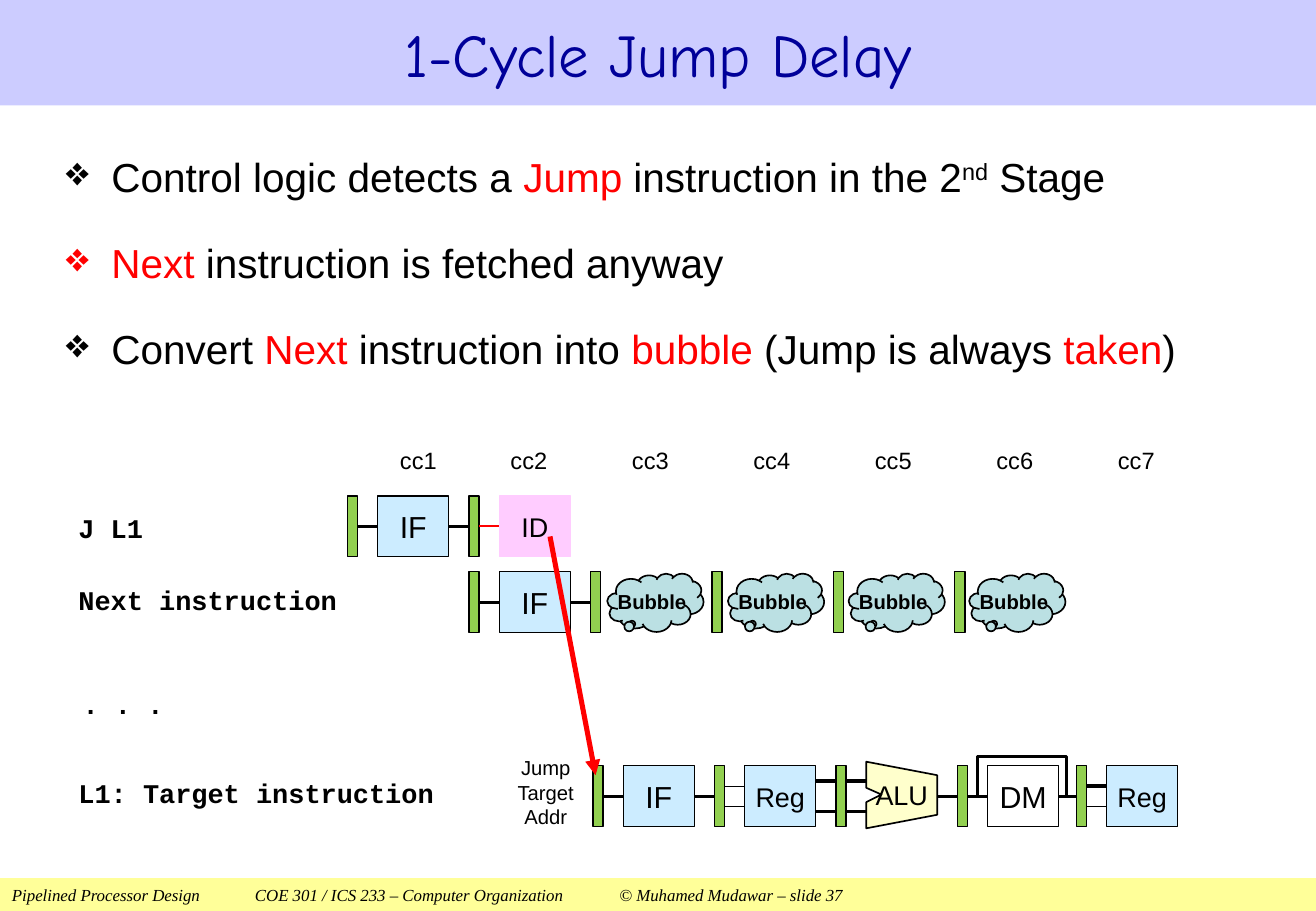
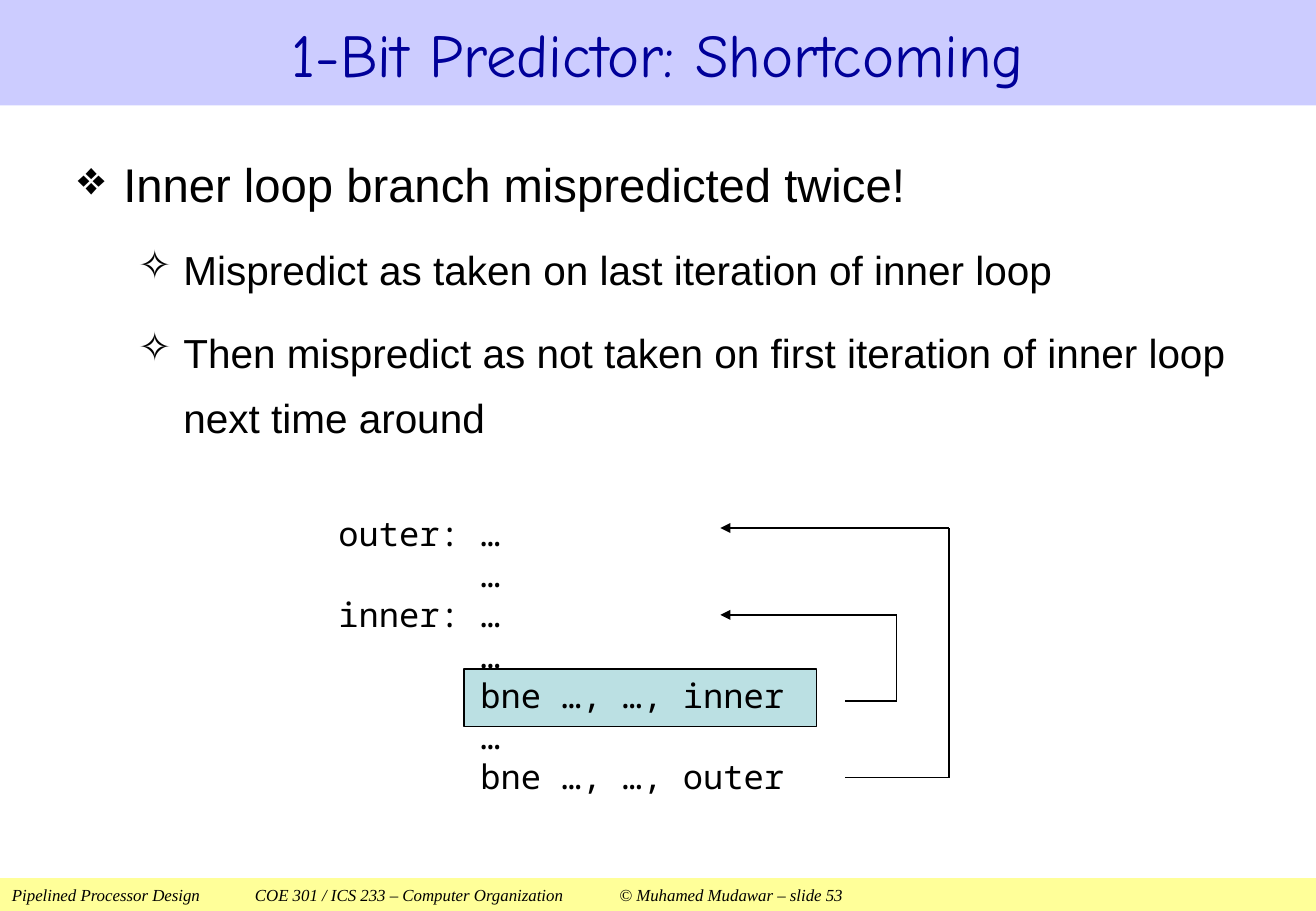
from lxml.etree import SubElement
from pptx import Presentation
from pptx.dml.color import RGBColor
from pptx.enum.shapes import MSO_CONNECTOR as Connector, MSO_SHAPE as Shape
from pptx.enum.text import MSO_ANCHOR as Anchor, PP_ALIGN as Align
from pptx.oxml.ns import qn
from pptx.util import Pt


class Theme:
    black, red, navy = "000000", "FF0000", "000099"
    title_band, footer_band = "CCCCFF", "FFFF99"
    stage, register, decode = "CCECFF", "92D050", "FFCCFF"
    bubble, alu = "BBE0E3", "FFFFCC"
    body_font, title_font, footer_font = "Arial", "Comic Neue", "Times New Roman"
    label_font, code_font = "Courier New", "Noto Sans Mono"
    title, head, body, code, stage_name = 36, 28, 24, 20, 18
    label, cycle, small, footer = 16, 14, 12, 10
    thin, outline, wire, bold_wire, arrow = 0.75, 1, 2, 2.25, 3


def add_box(slide, kind, left, top, width, height, text="", fill=None, line=None,
            line_width=Theme.thin, font=Theme.body_font, size=Theme.stage_name,
            color=Theme.black, bold=False, italic=False, align=Align.CENTER,
            anchor=Anchor.MIDDLE, insets=(0, 0), wrap=False):
    """Add a preset shape, or a text box when kind is None."""
    frame = [Pt(value) for value in (left, top, width, height)]
    if kind is None:
        shape = slide.shapes.add_textbox(*frame)
    else:
        shape = slide.shapes.add_shape(kind, *frame)
        shape.shadow.inherit = False
        if fill:
            shape.fill.solid()
            shape.fill.fore_color.rgb = RGBColor.from_string(fill)
        else:
            shape.fill.background()
        if line:
            shape.line.color.rgb = RGBColor.from_string(line)
            shape.line.width = Pt(line_width)
        else:
            shape.line.fill.background()
    text_frame = shape.text_frame
    text_frame.word_wrap = wrap
    text_frame.vertical_anchor = anchor
    text_frame.margin_left = text_frame.margin_right = Pt(insets[0])
    text_frame.margin_top = text_frame.margin_bottom = Pt(insets[1])
    text_frame.text = text
    for paragraph in text_frame.paragraphs:
        paragraph.alignment = align
        for run in paragraph.runs:
            run.font.name, run.font.size = font, Pt(size)
            run.font.bold, run.font.italic = bold, italic
            run.font.color.rgb = RGBColor.from_string(color)
    return shape


def add_line(slide, x1, y1, x2, y2, width=Theme.wire, color=Theme.black,
             arrow=False, begin=None, end=None):
    """Add a straight line; begin and end are shapes joined right side to left side."""
    line = slide.shapes.add_connector(Connector.STRAIGHT, Pt(x1), Pt(y1), Pt(x2), Pt(y2))
    line.line.color.rgb = RGBColor.from_string(color)
    line.line.width = Pt(width)
    properties = line._element.spPr
    if arrow:
        SubElement(properties.find(qn("a:ln")), qn("a:tailEnd"), type="triangle")
    SubElement(properties, qn("a:effectLst"))
    if begin is not None:
        line.begin_connect(begin, 3)
    if end is not None:
        line.end_connect(end, 1)


presentation = Presentation()
presentation.slide_width, presentation.slide_height = Pt(780), Pt(540)

# Title, body and footer of each slide
# Body paragraphs: level, size, space before, runs as (text, color, superscript)
black, red = Theme.black, Theme.red
pages = [
    ("1-Cycle Jump Delay", 37, 0, [
        (0, Theme.body, 12, [("Control logic detects a ", black, False), ("Jump", red, False),
                             (" instruction in the 2", black, False), ("nd", black, True),
                             (" Stage", black, False)]),
        (0, Theme.body, 12, [("Next ", red, False),
                             ("instruction is fetched anyway", black, False)]),
        (0, Theme.body, 12, [("Convert ", black, False), ("Next", red, False),
                             (" instruction into ", black, False), ("bubble", red, False),
                             (" (Jump is always ", black, False), ("taken", red, False),
                             (")", black, False)]),
    ]),
    ("1-Bit Predictor: Shortcoming", 53, 7.2, [
        (0, Theme.head, 10, [("Inner loop branch mispredicted twice!", black, False)]),
        (1, Theme.body, 10, [("Mispredict as taken on last iteration of inner loop",
                              black, False)]),
        (1, Theme.body, 10, [("Then mispredict as not taken on first iteration of inner loop "
                              "next time around", black, False)]),
    ]),
]
bullets = [("❖", 27), ("✧", 62.6)]
slides = []
for title, number, inset, body in pages:
    slide = presentation.slides.add_slide(presentation.slide_layouts[6])
    slides.append(slide)
    footer = add_box(slide, Shape.RECTANGLE, 0, 520.6, 780, 19.4,
                     "Pipelined Processor Design\tCOE 301 / ICS 233 – Computer Organization"
                     f"\t© Muhamed Mudawar – slide {number}",
                     fill=Theme.footer_band, font=Theme.footer_font, size=Theme.footer,
                     italic=True, align=Align.LEFT, insets=(7.2, 3.6), wrap=True)
    tabs = SubElement(footer.text_frame.paragraphs[0]._p.get_or_add_pPr(), qn("a:tabLst"))
    for position in (144, 360):
        SubElement(tabs, qn("a:tab"), pos=str(Pt(position)), algn="l")
    add_box(slide, Shape.RECTANGLE, 0, 0, 780, 62.5, title, fill=Theme.title_band,
            font=Theme.title_font, size=Theme.title, color=Theme.navy, wrap=True)

    text_frame = add_box(slide, None, 39, 76.5, 702, 175, anchor=Anchor.TOP,
                         insets=(inset, 3.6), wrap=True).text_frame
    for index, (level, size, space, runs) in enumerate(body):
        paragraph = text_frame.add_paragraph() if index else text_frame.paragraphs[0]
        character, indent = bullets[level]
        properties = paragraph._p.get_or_add_pPr()
        properties.set("marL", str(Pt(indent)))
        properties.set("indent", str(Pt(-27)))
        SubElement(properties, qn("a:buChar"), char=character)
        paragraph.alignment = Align.LEFT
        paragraph.level = level
        paragraph.line_spacing = 1.35
        paragraph.space_before = Pt(space if index else 0)
        for text, color, superscript in runs:
            run = paragraph.add_run()
            run.text = text
            run.font.name, run.font.size = Theme.body_font, Pt(size)
            run.font.color.rgb = RGBColor.from_string(color)
            if superscript:
                run._r.get_or_add_rPr().set("baseline", "30000")

jump_slide, predictor_slide = slides

# Pipeline: instruction labels and clock cycles
for left, top, text in [(46.5, 299.5, "J L1"), (46.5, 342.5, "Next instruction"),
                        (49, 404, ". . ."), (46.5, 457, "L1: Target instruction")]:
    add_box(jump_slide, None, left, top, 250, 26.5, text, font=Theme.label_font,
            size=Theme.label, bold=True, align=Align.LEFT, anchor=Anchor.TOP, insets=(0, 3.6))
for cycle in range(1, 8):
    left = 224 if cycle == 1 else 289.5 + 72 * (cycle - 2)
    add_box(jump_slide, None, left, 260.5, 48, 24, f"cc{cycle}", size=Theme.cycle)

# Pipeline: registers and stages, each stage 18 pt after its register
bar_width, stage_offset, stage_width, row_height = 6, 18, 42, 36
rows = [
    (294, (206, 278), [("IF", 18, Theme.stage, black), ("ID", 16, Theme.decode, Theme.decode)]),
    (339, (278, 350, 422, 494, 566), [("IF", 18, Theme.stage, black)]),
    (454, (351.5, 423.5, 495.5, 567.5, 638),
     [("IF", 18, Theme.stage, black), ("Reg", 16, Theme.stage, black), None,
      ("DM", 18, None, black), ("Reg", 16, Theme.stage, black)]),
]
row_bars, row_stages = [], []
for top, lefts, stages in rows:
    row_bars.append([add_box(jump_slide, Shape.RECTANGLE, left, top, bar_width, row_height,
                             fill=Theme.register, line=black) for left in lefts])
    row_stages.append([stage and add_box(jump_slide, Shape.RECTANGLE, left + stage_offset, top,
                                         stage_width, row_height, stage[0], size=stage[1],
                                         fill=stage[2], line=stage[3])
                       for left, stage in zip(lefts, stages)])

# Pipeline: single wires between neighbours
for bars, stages in zip(row_bars, row_stages):
    add_line(jump_slide, 0, 0, 1, 1, begin=bars[0], end=stages[0])
    add_line(jump_slide, 0, 0, 1, 1, begin=stages[0], end=bars[1])
add_line(jump_slide, 0, 0, 1, 1, Theme.outline, red, begin=row_bars[0][1], end=row_stages[0][1])
target_bars, memory = row_bars[2], row_stages[2][3]
add_line(jump_slide, 0, 0, 1, 1, begin=target_bars[3], end=memory)
add_line(jump_slide, 0, 0, 1, 1, begin=memory, end=target_bars[4])
add_line(jump_slide, 555.5, 472, 567.5, 472, end=target_bars[3])

# Pipeline: double wires around Reg and ALU
for left, top, gap, widths in [(429.5, 466, 12, (Theme.thin, Theme.thin)),
                               (483.5, 463, 18, (Theme.wire, Theme.wire)),
                               (501.5, 463, 18, (Theme.wire, Theme.wire)),
                               (644, 466, 12, (Theme.bold_wire, Theme.thin))]:
    for index, width in enumerate(widths):
        y = top + gap * index
        add_line(jump_slide, left, y, left + 12, y, width)

# Pipeline: ALU and the bypass around DM
outlines = [
    ([(513.5, 491), (513.5, 475.5), (522.5, 471), (513.5, 467), (513.5, 451.5),
      (555.5, 459.5), (555.5, 483)], True, Theme.alu, Theme.outline, "ALU"),
    ([(579.5, 471.5), (579.5, 448.5), (632, 448.5), (632, 471.5)],
     False, None, Theme.wire, ""),
]
for points, closed, fill, width, text in outlines:
    corners = [(Pt(x), Pt(y)) for x, y in points]
    builder = jump_slide.shapes.build_freeform(*corners[0])
    builder.add_line_segments(corners[1:], close=closed)
    shape = builder.convert_to_shape()
    shape.shadow.inherit = False
    shape.line.color.rgb = RGBColor.from_string(black)
    shape.line.width = Pt(width)
    if fill:
        shape.fill.solid()
        shape.fill.fore_color.rgb = RGBColor.from_string(fill)
    else:
        shape.fill.background()
    if text:
        text_frame = shape.text_frame
        text_frame.text = text
        text_frame.word_wrap = False
        text_frame.vertical_anchor = Anchor.MIDDLE
        text_frame.margin_left = text_frame.margin_right = 0
        text_frame.margin_top = text_frame.margin_bottom = 0
        paragraph = text_frame.paragraphs[0]
        paragraph.alignment = Align.CENTER
        font = paragraph.runs[0].font
        font.name, font.size = Theme.body_font, Pt(Theme.label)
        font.color.rgb = RGBColor.from_string(black)

# Pipeline: bubbles
for index in range(4):
    cloud = add_box(jump_slide, Shape.CLOUD_CALLOUT, 360 + 71.5 * index, 340, 57, 34.5, "Bubble",
                    fill=Theme.bubble, line=black, line_width=Theme.outline,
                    size=Theme.small, bold=True)
    cloud.adjustments[0], cloud.adjustments[1] = -0.24, 0.36

# Pipeline: jump target address
add_box(jump_slide, None, 299, 448.5, 49, 42, "Jump\nTarget\nAddr", size=Theme.small, wrap=True)
add_line(jump_slide, 326, 318, 353, 459.5, Theme.arrow, red, arrow=True)

# Loop code with the inner branch highlighted
add_box(predictor_slide, Shape.RECTANGLE, 275, 396.5, 209, 34, fill=Theme.bubble, line=black)
code = """outer: …
       …
inner: …
       …
       bne …, …, inner
       …
       bne …, …, outer"""
add_box(predictor_slide, None, 193.5, 300.5, 281, 177, code, font=Theme.code_font,
        size=Theme.code, align=Align.LEFT, anchor=Anchor.TOP, insets=(7.2, 3.6))

# Branches back to the loop labels
for branch_y, turn_x, label_y in [(415.5, 531.5, 364.5), (461, 562.5, 313)]:
    add_line(predictor_slide, 501, branch_y, turn_x, branch_y, Theme.thin)
    add_line(predictor_slide, turn_x, branch_y, turn_x, label_y, Theme.thin)
    add_line(predictor_slide, turn_x, label_y, 427, label_y, Theme.thin, arrow=True)

presentation.save("out.pptx")
